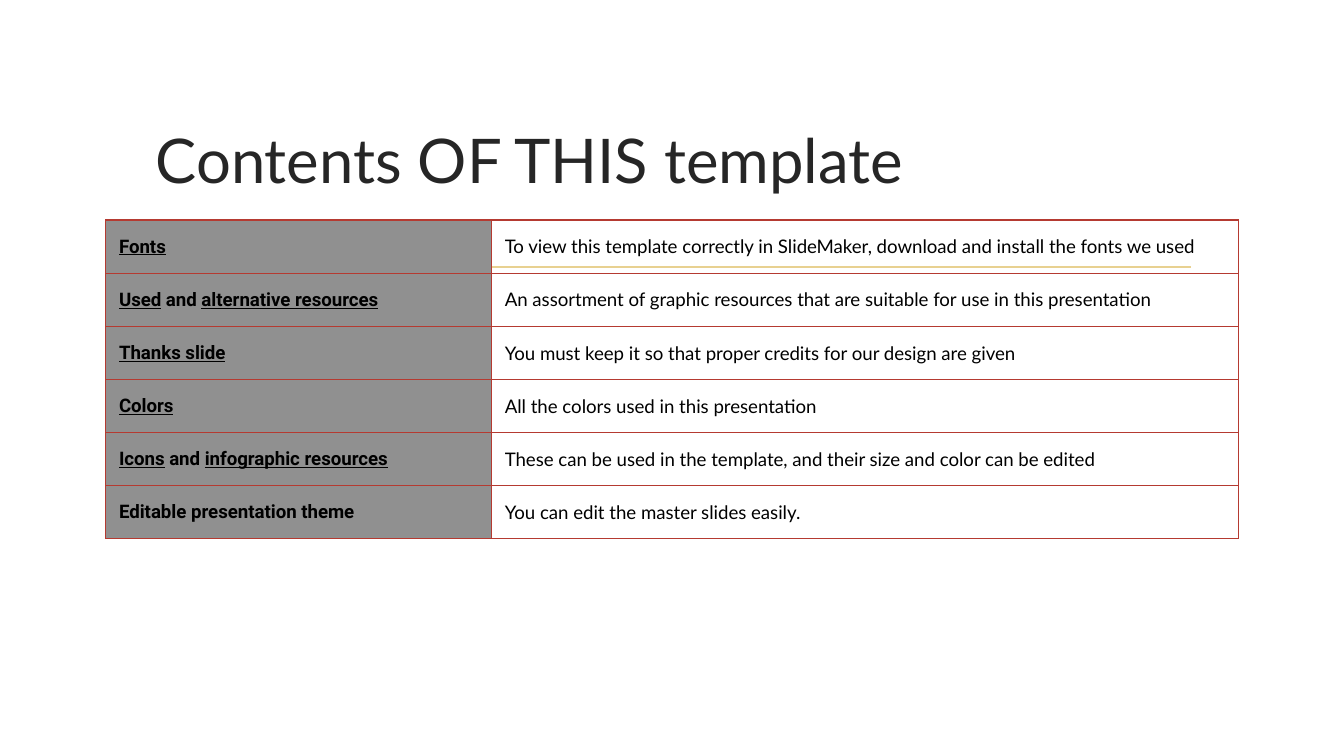
from lxml import etree
from pptx import Presentation
from pptx.dml.color import RGBColor
from pptx.enum.shapes import MSO_CONNECTOR
from pptx.enum.text import MSO_ANCHOR, MSO_AUTO_SIZE, PP_ALIGN
from pptx.oxml.ns import qn
from pptx.util import Cm, Pt

COLORS = {
    "title": "262626",
    "text": "000000",
    "label": "909090",
    "white": "FFFFFF",
    "border": "B53A31",
    "rule": "E8D191",
}

# Label runs as (text, underlined), description, whether the description is filled
CONTENTS = [
    ([("Fonts", True)],
     "To view this template correctly in SlideMaker, download and install the fonts we used", False),
    ([("Used", True), (" and ", False), ("alternative resources", True)],
     "An assortment of graphic resources that are suitable for use in this presentation", True),
    ([("Thanks slide", True)],
     "You must keep it so that proper credits for our design are given", False),
    ([("Colors", True)],
     "All the colors used in this presentation", True),
    ([("Icons", True), (" and ", False), ("infographic resources", True)],
     "These can be used in the template, and their size and color can be edited", False),
    ([("Editable presentation theme", False)],
     "You can edit the master slides easily.", True),
]


def add_run(paragraph, text, font_name, size, color, bold=False, underline=False):
    run = paragraph.add_run()
    run.text = text
    font = run.font
    font.name, font.size = font_name, Pt(size)
    font.bold, font.underline = bold, underline
    font.color.rgb = RGBColor.from_string(COLORS[color])


def format_cell(cell, fill):
    """Set margins, borders and fill; a fill of None leaves the cell clear."""
    cell.vertical_anchor = MSO_ANCHOR.MIDDLE
    cell.margin_left = cell.margin_right = Cm(0.25)
    cell.margin_top = cell.margin_bottom = 0
    properties = cell._tc.get_or_add_tcPr()
    for side in ("a:lnL", "a:lnR", "a:lnT", "a:lnB"):
        border = etree.SubElement(properties, qn(side), w=str(Pt(0.75)))
        solid = etree.SubElement(border, qn("a:solidFill"))
        etree.SubElement(solid, qn("a:srgbClr"), val=COLORS["border"])
    if fill:
        cell.fill.solid()
        cell.fill.fore_color.rgb = RGBColor.from_string(COLORS[fill])
    else:
        cell.fill.background()


prs = Presentation()
prs.slide_width, prs.slide_height = Cm(25.4), Cm(14.29)
slide = prs.slides.add_slide(prs.slide_layouts[5])

# Title
title = slide.shapes.title
title.left, title.top, title.width, title.height = Cm(2.69), Cm(2.06), Cm(19.99), Cm(2.72)
frame = title.text_frame
frame.word_wrap = True
frame.auto_size = MSO_AUTO_SIZE.NONE
frame.vertical_anchor = MSO_ANCHOR.TOP
frame.margin_left = frame.margin_right = frame.margin_top = frame.margin_bottom = Cm(0.25)
heading = frame.paragraphs[0]
heading.alignment = PP_ALIGN.LEFT
add_run(heading, "Contents OF THIS template", "Lato", 33, "title")

# Rule that shows through the clear first row
rule = slide.shapes.add_connector(MSO_CONNECTOR.STRAIGHT, Cm(2.92), Cm(5.05), Cm(22.5), Cm(5.05))
rule.line.color.rgb = RGBColor.from_string(COLORS["rule"])
rule.line.width = Pt(1.25)
etree.SubElement(rule._element.spPr, qn("a:effectLst"))

# Contents table
row_height = Cm(1.005)
table = slide.shapes.add_table(
    len(CONTENTS), 2, Cm(2), Cm(4.16), Cm(21.41), row_height * len(CONTENTS)
).table
table.first_row = table.horz_banding = False
table.columns[0].width, table.columns[1].width = Cm(7.29), Cm(14.12)

for row, (label_runs, description, filled) in enumerate(CONTENTS):
    table.rows[row].height = row_height
    label_cell, description_cell = table.cell(row, 0), table.cell(row, 1)
    format_cell(label_cell, "label")
    format_cell(description_cell, "white" if filled else None)
    for text, underline in label_runs:
        add_run(label_cell.text_frame.paragraphs[0], text, "Roboto", 10, "text", True, underline)
    add_run(description_cell.text_frame.paragraphs[0], description, "Lato", 10, "text")

prs.save("out.pptx")
